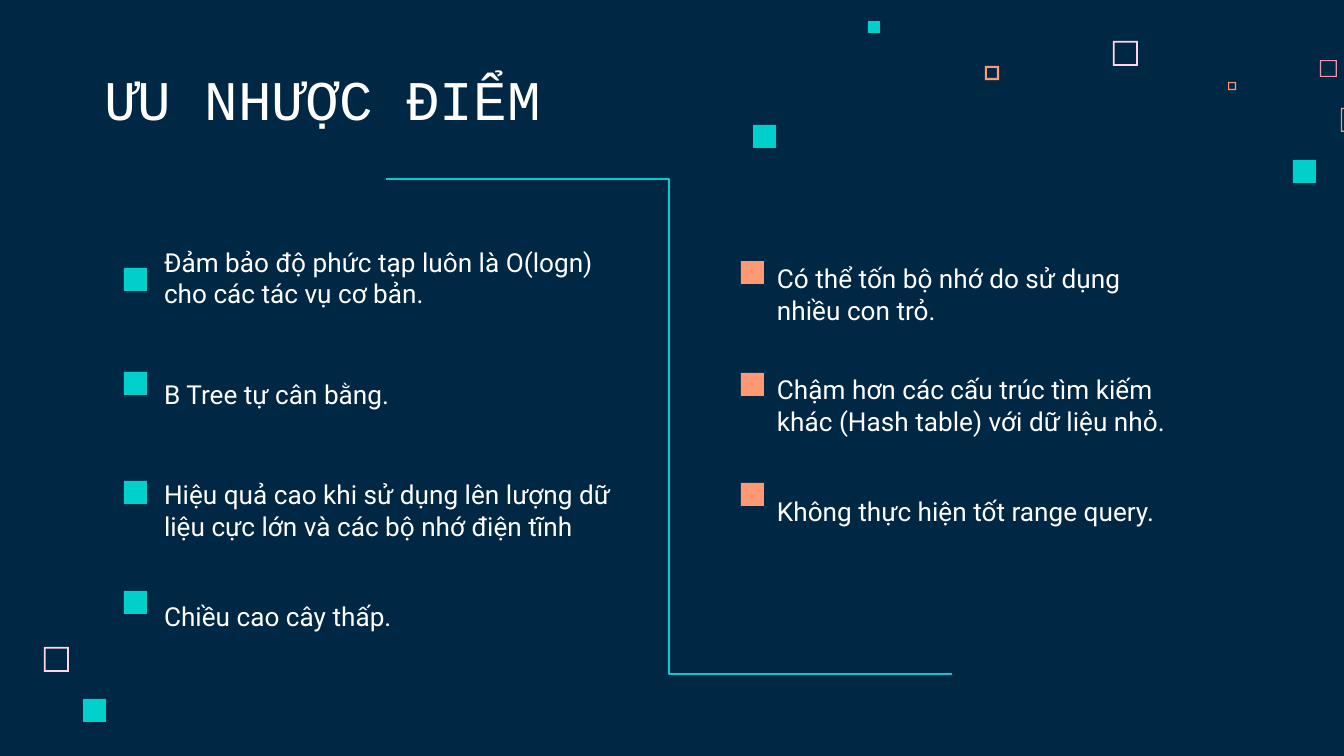
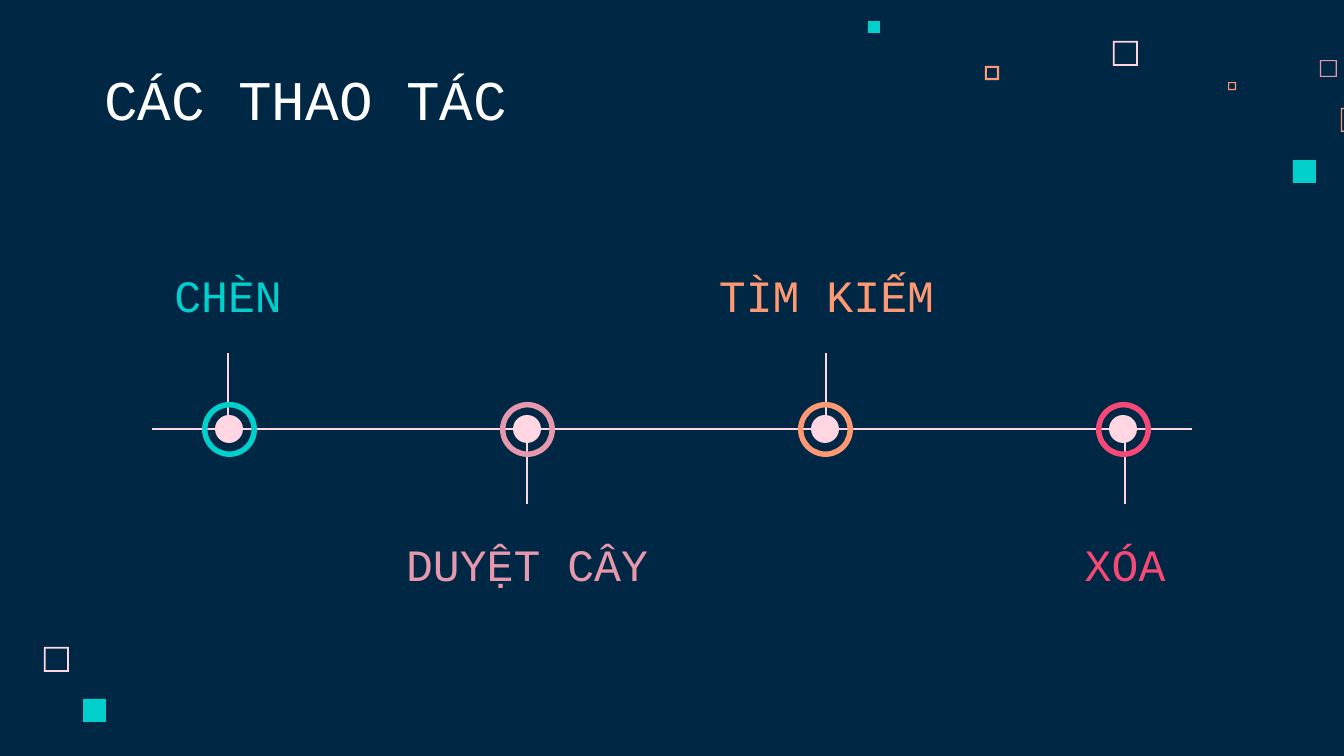
from lxml import etree
from pptx import Presentation
from pptx.dml.color import RGBColor
from pptx.enum.shapes import MSO_CONNECTOR, MSO_SHAPE
from pptx.enum.text import MSO_ANCHOR, MSO_AUTO_SIZE, PP_ALIGN
from pptx.oxml.ns import qn
from pptx.util import Pt

STRAIGHT, ELBOW = MSO_CONNECTOR.STRAIGHT, MSO_CONNECTOR.ELBOW
RECTANGLE, FRAME = MSO_SHAPE.RECTANGLE, MSO_SHAPE.FRAME
OVAL, DONUT = MSO_SHAPE.OVAL, MSO_SHAPE.DONUT
TOP, MIDDLE, BOTTOM = MSO_ANCHOR.TOP, MSO_ANCHOR.MIDDLE, MSO_ANCHOR.BOTTOM
LEFT, CENTER = PP_ALIGN.LEFT, PP_ALIGN.CENTER
NO_AUTOFIT = MSO_AUTO_SIZE.NONE

TITLE_ONLY = 5
EMU_PER_PX = 914400 / 134.4
NAVY, WHITE, TEAL, ORANGE = "002845", "FFFFFF", "00CFCC", "FF9973"
PALE_PINK, ROSE, CRIMSON = "FFD6E1", "E898AC", "F64975"
HEADING_FONT, BODY_FONT = "Courier New", "Roboto"
INSET = 13
MARKER_SIZE = 23

# Decoration on every slide: left, top, size, colour
SOLID_SQUARES = [
    (1293, 160, 23, TEAL),
    (868, 21, 12, TEAL),
    (83, 699, 23, TEAL),
]
# Left, top, size, colour, share of the side taken by the border
OPEN_SQUARES = [
    (1113, 41, 25, PALE_PINK, 0.07),
    (1320, 60, 17, ROSE, 0.07),
    (1228, 82, 8, ORANGE, 0.15),
    (1341, 108, 24, ORANGE, 0.05),
    (985, 66, 14, ORANGE, 0.14),
    (44, 647, 25, PALE_PINK, 0.07),
]

# Points of each column: marker top, text top, width, height, anchor, text
ADVANTAGES = [
    (268, 233, 460, 95, TOP,
     "Đảm bảo độ phức tạp luôn là O(logn) cho các tác vụ cơ bản."),
    (372, 349, 460, 90, MIDDLE, "B Tree tự cân bằng."),
    (481, 465, 484, 90, MIDDLE,
     "Hiệu quả cao khi sử dụng lên lượng dữ liệu cực lớn và các bộ nhớ điện tĩnh"),
    (591, 571, 484, 90, MIDDLE, "Chiều cao cây thấp."),
]
DRAWBACKS = [
    (261, 249, 396, 90, MIDDLE, "Có thể tốn bộ nhớ do sử dụng nhiều con trỏ."),
    (373, 360, 450, 90, MIDDLE,
     "Chậm hơn các cấu trúc tìm kiếm khác (Hash table) với dữ liệu nhỏ."),
    (483, 466, 430, 90, MIDDLE, "Không thực hiện tốt range query."),
]

# Timeline stops: label, label width, colour
OPERATIONS = [
    ("CHÈN", 190, TEAL),
    ("DUYỆT CÂY", 280, ROSE),
    ("TÌM KIẾM", 249, ORANGE),
    ("XÓA", 190, CRIMSON),
]


def px(length):
    return round(length * EMU_PER_PX)


def color(hex_code):
    return RGBColor.from_string(hex_code)


def add_filled(shapes, kind, left, top, size, fill, adjustment=None):
    shape = shapes.add_shape(kind, px(left), px(top), px(size), px(size))
    shape.shadow.inherit = False
    shape.fill.solid()
    shape.fill.fore_color.rgb = color(fill)
    shape.line.fill.background()
    if adjustment is not None:
        shape.adjustments[0] = adjustment


def add_line(slide, kind, start, end, line_color, width):
    points = [px(value) for value in (*start, *end)]
    connector = slide.shapes.add_connector(kind, *points)
    connector.line.color.rgb = color(line_color)
    connector.line.width = Pt(width)
    etree.SubElement(connector._element.spPr, qn("a:effectLst"))


def write(shape, text, font_name, size, text_color, anchor, align=LEFT):
    frame = shape.text_frame
    frame.text = text
    frame.word_wrap = True
    frame.auto_size = NO_AUTOFIT
    frame.vertical_anchor = anchor
    frame.margin_left = frame.margin_right = px(INSET)
    frame.margin_top = frame.margin_bottom = px(INSET)
    paragraph = frame.paragraphs[0]
    paragraph.alignment = align
    font = paragraph.runs[0].font
    font.name = font_name
    font.size = Pt(size)
    font.color.rgb = color(text_color)
    return paragraph


def add_text(slide, box, *style):
    shape = slide.shapes.add_textbox(*[px(value) for value in box])
    return write(shape, *style)


def add_slide(presentation, title_text):
    slide = presentation.slides.add_slide(presentation.slide_layouts[TITLE_ONLY])
    for square in SOLID_SQUARES:
        add_filled(slide.shapes, RECTANGLE, *square)
    for square in OPEN_SQUARES:
        add_filled(slide.shapes, FRAME, *square)
    title = slide.shapes.title
    title.left, title.top = px(91), px(60)
    title.width, title.height = px(695), px(85)
    write(title, title_text, HEADING_FONT, 30, WHITE, BOTTOM)
    return slide


def add_points(slide, points, marker_left, text_left, marker_color):
    for marker_top, top, width, height, anchor, text in points:
        add_filled(slide.shapes, RECTANGLE, marker_left, marker_top,
                   MARKER_SIZE, marker_color)
        paragraph = add_text(slide, (text_left, top, width, height),
                             text, BODY_FONT, 14, WHITE, anchor)
        paragraph.space_after = Pt(16)


def add_stop(slide, index, label, label_width, ring_color):
    stem_x = 228 + 299 * index
    ring_left, ring_top = 202 + 298 * index, 402
    # Labels alternate above and below the axis
    if index % 2 == 0:
        stem_top, stem_bottom, label_top = 353, 421, 263
    else:
        stem_top, stem_bottom, label_top = 438, 504, 532
    add_line(slide, STRAIGHT, (stem_x, stem_top), (stem_x, stem_bottom), PALE_PINK, 1.5)
    group = slide.shapes.add_group_shape()
    add_filled(group.shapes, OVAL, ring_left + 13, ring_top + 13, 28, PALE_PINK)
    add_filled(group.shapes, DONUT, ring_left, ring_top, 55, ring_color, 0.1)
    add_text(slide, (stem_x - label_width // 2, label_top, label_width, 63),
             label, HEADING_FONT, 24, ring_color, MIDDLE, CENTER)


def build_pros_and_cons(presentation):
    slide = add_slide(presentation, "ƯU NHƯỢC ĐIỂM")
    add_filled(slide.shapes, RECTANGLE, 753, 125, MARKER_SIZE, TEAL)
    add_line(slide, ELBOW, (386, 179), (952, 674), TEAL, 0.75)
    add_points(slide, ADVANTAGES, 124, 151, TEAL)
    add_points(slide, DRAWBACKS, 741, 764, ORANGE)


def build_operations(presentation):
    slide = add_slide(presentation, "CÁC THAO TÁC")
    add_line(slide, STRAIGHT, (152, 429), (1192, 429), PALE_PINK, 1.5)
    for index, operation in enumerate(OPERATIONS):
        add_stop(slide, index, *operation)


def main():
    presentation = Presentation()
    presentation.slide_width, presentation.slide_height = px(1344), px(756)
    background = presentation.slide_master.background.fill
    background.solid()
    background.fore_color.rgb = color(NAVY)
    build_pros_and_cons(presentation)
    build_operations(presentation)
    presentation.save("out.pptx")


if __name__ == "__main__":
    main()
